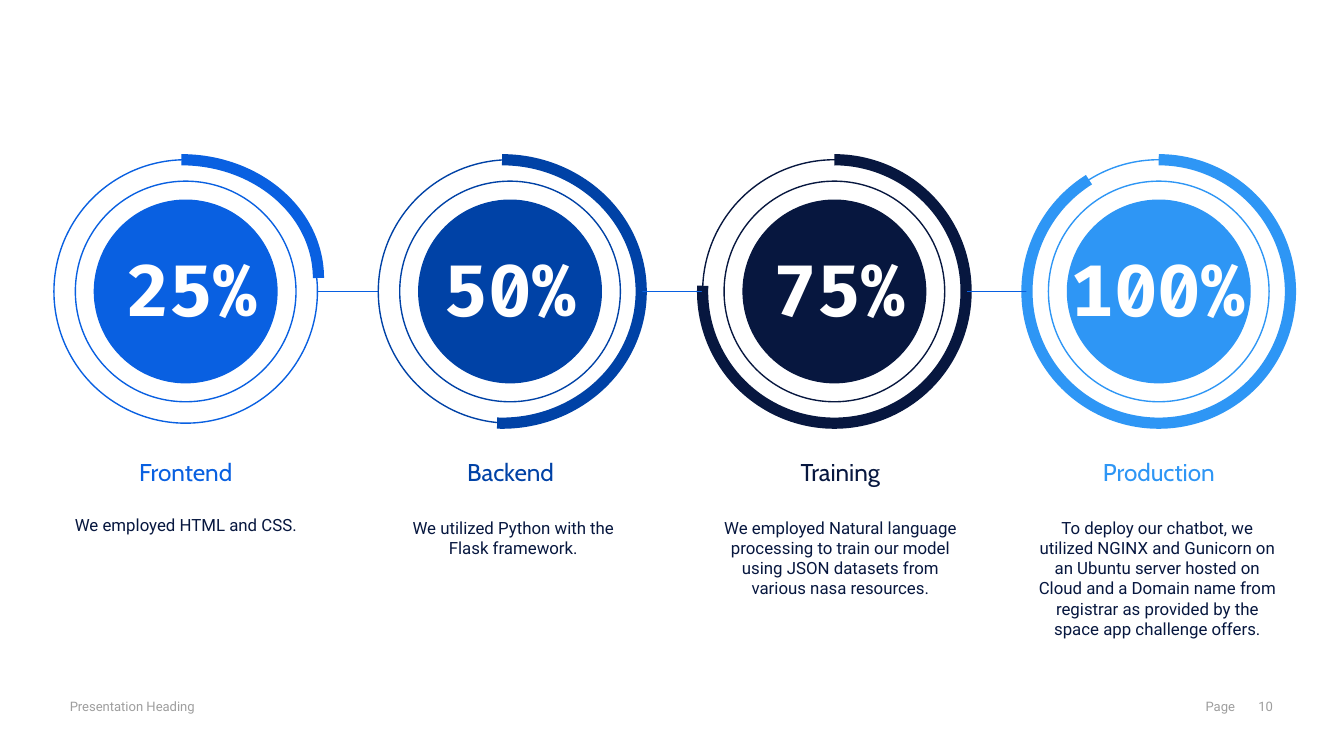
from lxml.etree import SubElement
from pptx import Presentation
from pptx.dml.color import RGBColor
from pptx.enum.shapes import MSO_CONNECTOR, MSO_SHAPE
from pptx.enum.text import MSO_ANCHOR, PP_ALIGN
from pptx.oxml.ns import qn
from pptx.util import Cm, Pt

BLUE = RGBColor(0x09, 0x60, 0xE1)
ROYAL = RGBColor(0x00, 0x42, 0xA6)
NAVY = RGBColor(0x07, 0x17, 0x3F)
SKY = RGBColor(0x2E, 0x96, 0xF5)
WHITE = RGBColor(0xFF, 0xFF, 0xFF)
GREY = RGBColor(0x9E, 0x9E, 0x9E)

PITCH = 6.13
FIRST_CENTER = 3.51
CENTER_Y = 5.51
OUTER, INNER, DISC = 4.98, 4.17, 3.45

# percent, title, body, colour, arc box (left, width, height), arc end angle,
# then the left edges of the percent, title and body boxes and the body height
STAGES = [
    ("25%", "Frontend", "We employed HTML and CSS.",
     BLUE, (0.84, 5.18, 4.47), 0, (1.63, 0.79, 1.02), 0.89),
    ("50%", "Backend", "We utilized Python with the Flask framework.",
     ROYAL, (6.86, 5.26, 4.98), 92.17, (7.65, 6.93, 7.21), 1.27),
    ("75%", "Training",
     "We employed Natural language processing to train our model using JSON "
     "datasets from various nasa resources.",
     NAVY, (13.28, 4.98, 4.98), 182.49, (13.87, 13.16, 13.39), 2.06),
    ("100%", "Production",
     "To deploy our chatbot, we utilized NGINX and Gunicorn on an Ubuntu server "
     "hosted on Cloud and a Domain name from registrar as provided by the space app "
     "challenge offers.",
     SKY, (19.41, 4.98, 4.98), 238.04, (19.89, 19.18, 19.38), 2.82),
]

presentation = Presentation()
presentation.slide_width = Cm(25.4)
presentation.slide_height = Cm(14.29)
slide = presentation.slides.add_slide(presentation.slide_layouts[6])


def add_text(text, left, top, width, height, font_name, size, color,
             align=PP_ALIGN.CENTER, inset=0.25, bold=False, spacing=None):
    box = slide.shapes.add_textbox(Cm(left), Cm(top), Cm(width), Cm(height))
    frame = box.text_frame
    frame.word_wrap = True
    frame.vertical_anchor = MSO_ANCHOR.TOP
    frame.margin_left = frame.margin_right = Cm(inset)
    frame.margin_top = frame.margin_bottom = Cm(inset)
    paragraph = frame.paragraphs[0]
    paragraph.alignment = align
    if spacing:
        paragraph.line_spacing = spacing
    run = paragraph.add_run()
    run.text = text
    run.font.name = font_name
    run.font.size = Pt(size)
    run.font.bold = bold
    run.font.color.rgb = color


def add_outlined(kind, left, top, width, height, color, line_width):
    shape = slide.shapes.add_shape(kind, Cm(left), Cm(top), Cm(width), Cm(height))
    shape.shadow.inherit = False
    shape.fill.background()
    shape.line.color.rgb = color
    shape.line.width = Pt(line_width)
    return shape


# Footer
for text, left, width, align in [
    ("Presentation Heading", 1.32, 6.93, PP_ALIGN.LEFT),
    ("Page", 22.45, 0.89, PP_ALIGN.RIGHT),
    ("10", 23.5, 0.56, PP_ALIGN.RIGHT),
]:
    add_text(text, left, 13.21, width, 0.3, "Roboto", 7, GREY, align, inset=0)

# Progress arcs, clockwise from twelve o'clock
for _, _, _, color, (left, width, height), end_angle, _, _ in STAGES:
    arc = add_outlined(MSO_SHAPE.ARC, left, CENTER_Y - OUTER / 2, width, height, color, 6)
    # An adjustment unit is 100000 sixty-thousandths of a degree
    arc.adjustments[0] = 270 * 0.6
    arc.adjustments[1] = end_angle * 0.6

# Links between neighbouring rings
for index in range(len(STAGES) - 1):
    center = FIRST_CENTER + index * PITCH
    connector = slide.shapes.add_connector(
        MSO_CONNECTOR.STRAIGHT,
        Cm(center + PITCH - OUTER / 2), Cm(CENTER_Y),
        Cm(center + OUTER / 2), Cm(CENTER_Y))
    connector.line.color.rgb = BLUE
    connector.line.width = Pt(0.75)
    SubElement(connector._element.spPr, qn("a:effectLst"))

# Rings, discs and captions
for index, stage in enumerate(STAGES):
    percent, title, body, color, _, _, lefts, body_height = stage
    center = FIRST_CENTER + index * PITCH
    for diameter in (INNER, OUTER, DISC):
        circle = add_outlined(MSO_SHAPE.OVAL, center - diameter / 2,
                              CENTER_Y - diameter / 2, diameter, diameter, color, 0.75)
    circle.fill.solid()
    circle.fill.fore_color.rgb = color

    percent_left, title_left, body_left = lefts
    add_text(percent, percent_left, 4.4, 3.99, 2.13, "Fira Code", 38, WHITE, bold=True)
    add_text(title, title_left, 8.53, 5.44, 0.97, "Cabin", 13, color, spacing=0.8)
    add_text(body, body_left, 9.53, 4.98, body_height, "Roboto", 9, NAVY)

presentation.save("out.pptx")
